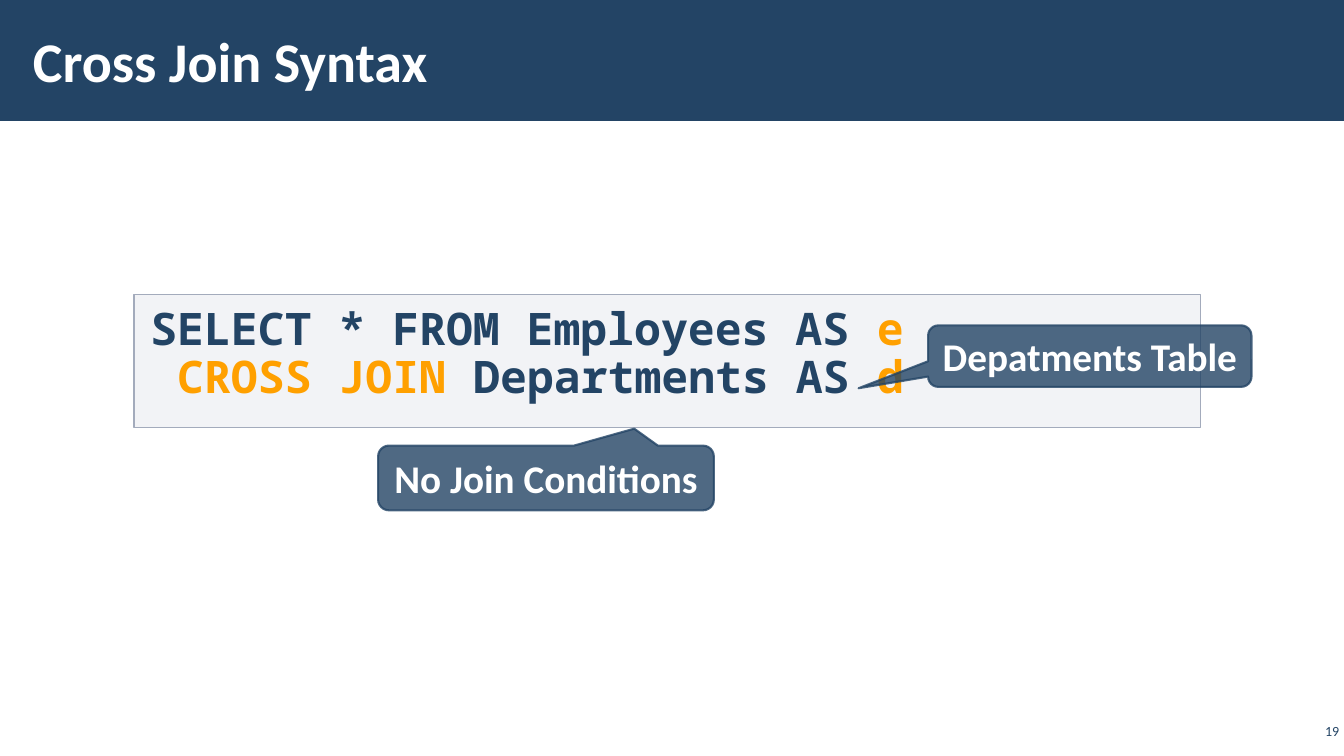
from dataclasses import dataclass

from lxml.etree import SubElement
from pptx import Presentation
from pptx.dml.color import RGBColor
from pptx.enum.shapes import MSO_SHAPE as Preset
from pptx.enum.text import MSO_ANCHOR as Anchor, MSO_AUTO_SIZE as AutoSize, PP_ALIGN as Align
from pptx.oxml.ns import qn
from pptx.util import Cm, Pt

NAVY, ORANGE, WHITE = "234465", "FFA000", "FFFFFF"
Box = tuple[float, float, float, float]
Segment = tuple[str, str]


@dataclass(frozen=True)
class Callout:
    label: str
    box: Box
    tip: tuple[float, float]


CALLOUTS = [
    Callout("Depatments Table", (23.39, 8.2, 8.15, 1.55), (-0.715, 0.522)),
    Callout("No Join Conditions", (9.53, 11.23, 8.46, 1.63), (0.263, -0.762)),
]
QUERY: list[list[Segment]] = [
    [("SELECT * FROM Employees AS ", NAVY), ("e", ORANGE)],
    [(" CROSS JOIN ", ORANGE), ("Departments AS ", NAVY), ("d", ORANGE)],
]


def paint(color_format, color: str, opacity: int = 100) -> None:
    color_format.rgb = RGBColor.from_string(color)
    if opacity < 100:
        rgb = color_format._xFill.find(qn("a:srgbClr"))
        SubElement(rgb, qn("a:alpha")).set("val", str(opacity * 1000))


def add_block(slide, preset: Preset, box: Box, color: str, opacity: int = 100,
              outline: str = "", weight: float = 1, outline_opacity: int = 100):
    block = slide.shapes.add_shape(preset, *map(Cm, box))
    block.shadow.inherit = False
    block.fill.solid()
    paint(block.fill.fore_color, color, opacity)
    if outline:
        block.line.width = Pt(weight)
        block.line.fill.solid()
        paint(block.line.fill.fore_color, outline, outline_opacity)
    else:
        block.line.fill.background()
    return block


def write(shape, lines: list[list[Segment]], *, size: float, font: str = "Calibri",
          bold: bool = True, align: Align = Align.LEFT, anchor: Anchor = Anchor.MIDDLE,
          inset: tuple[float, float] = (0.25, 0.13), spacing: float = 1.0) -> None:
    frame = shape.text_frame
    frame.auto_size = AutoSize.NONE
    frame.word_wrap = True
    frame.vertical_anchor = anchor
    frame.margin_left = frame.margin_right = Cm(inset[0])
    frame.margin_top = frame.margin_bottom = Cm(inset[1])
    for number, line in enumerate(lines):
        paragraph = frame.add_paragraph() if number else frame.paragraphs[0]
        paragraph.alignment = align
        paragraph.line_spacing = spacing
        for text, color in line:
            run = paragraph.add_run()
            run.text = text
            run.font.name = font
            run.font.size = Pt(size)
            run.font.bold = bold
            run.font.fill.solid()
            paint(run.font.fill.fore_color, color)


def add_callout(slide, callout: Callout) -> None:
    bubble = add_block(slide, Preset.ROUNDED_RECTANGULAR_CALLOUT, callout.box, NAVY, 80,
                       outline=NAVY, weight=1.5, outline_opacity=80)
    bubble.adjustments[0], bubble.adjustments[1] = callout.tip
    write(bubble, [[(callout.label, WHITE)]], size=28, align=Align.CENTER)


def main() -> None:
    deck = Presentation()
    deck.slide_width, deck.slide_height = Cm(33.87), Cm(19.05)
    slide = deck.slides.add_slide(deck.slide_layouts[5])

    band = add_block(slide, Preset.RECTANGLE, (0, 0, 33.87, 3.05), NAVY)
    title = slide.shapes.title
    band._element.addnext(title._element)
    title.left, title.top, title.width, title.height = map(Cm, (0.53, 0.28, 26.42, 2.46))
    write(title, [[("Cross Join Syntax", WHITE)]], size=40, inset=(0.3, 0.1))

    query = add_block(slide, Preset.RECTANGLE, (3.38, 7.42, 26.87, 3.35), "C2C7D2", 20,
                      outline="A3ABBC")
    write(query, QUERY, size=32, font="Noto Sans Mono", anchor=Anchor.TOP,
          inset=(0.41, 0.3), spacing=0.9)

    page_number = slide.shapes.add_textbox(*map(Cm, (32.66, 18.14, 1.19, 0.56)))
    write(page_number, [[("19", NAVY)]], size=10, bold=False, align=Align.RIGHT,
          inset=(0.1, 0.1))

    for callout in CALLOUTS:
        add_callout(slide, callout)

    deck.save("out.pptx")


if __name__ == "__main__":
    main()
